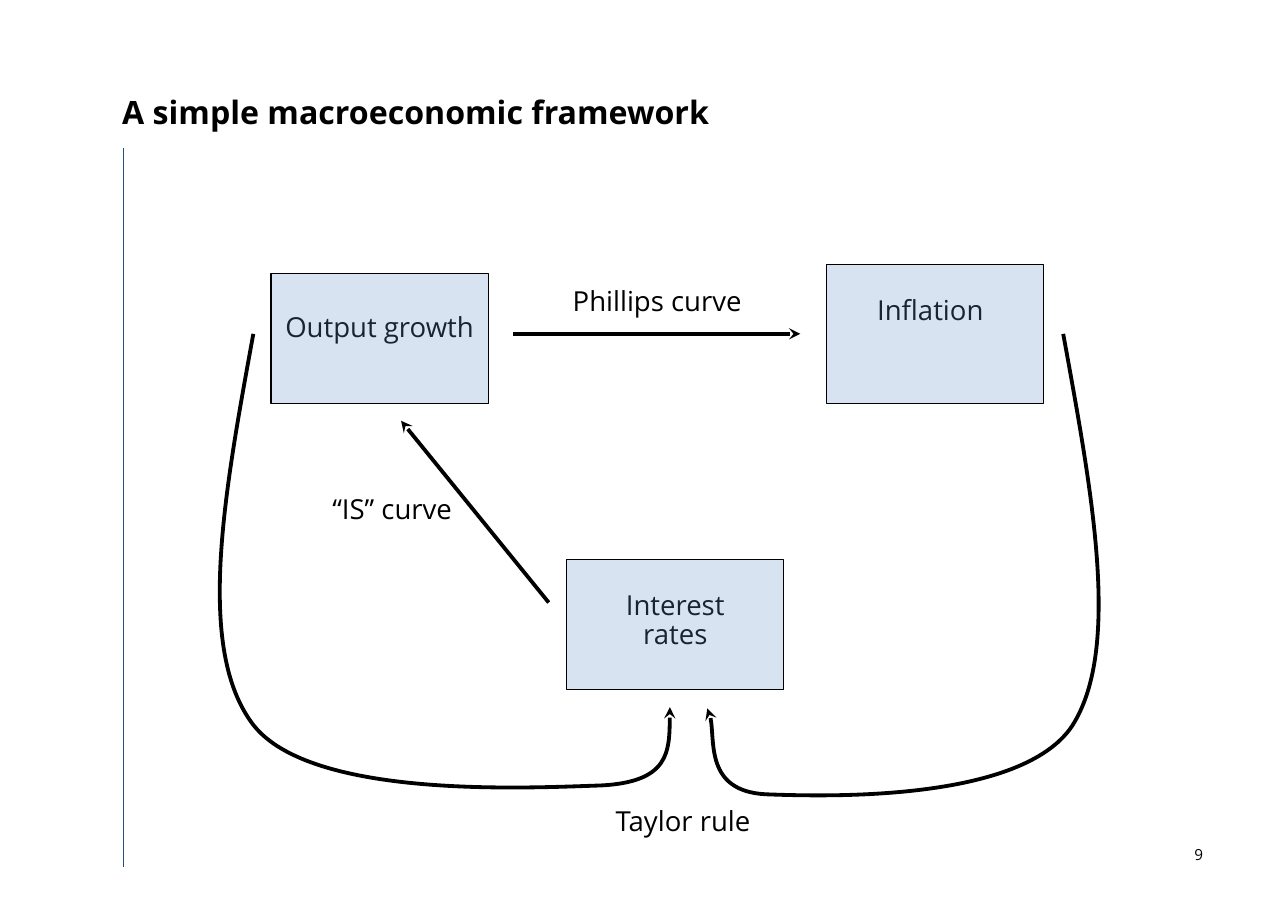
from dataclasses import dataclass
from itertools import islice

from lxml import etree
from pptx import Presentation
from pptx.dml.color import RGBColor
from pptx.enum.shapes import MSO_CONNECTOR, MSO_SHAPE
from pptx.enum.text import MSO_ANCHOR, PP_ALIGN
from pptx.oxml.ns import qn
from pptx.util import Pt


@dataclass(frozen=True)
class Theme:
    """Colours, font, type sizes and line widths of the slide."""
    font: str = "Open Sans"
    ink: RGBColor = RGBColor(0, 0, 0)
    box: RGBColor = RGBColor(0x64, 0x90, 0xCB)
    rule: RGBColor = RGBColor(0x26, 0x4E, 0x84)
    box_opacity: int = 25
    title_size: float = 21
    label_size: float = 18
    number_size: float = 10
    arrow_width: float = 2.5
    border_width: float = 0.75
    rule_width: float = 0.35


THEME = Theme()


def add_text(slide, text, left, top, width, height, size=THEME.label_size, inset=3.6,
             align=PP_ALIGN.CENTER, anchor=MSO_ANCHOR.TOP, spacing=0.9, bold=False):
    """Add a text box with one paragraph per line of text."""
    frame = slide.shapes.add_textbox(Pt(left), Pt(top), Pt(width), Pt(height)).text_frame
    frame.word_wrap = True
    frame.vertical_anchor = anchor
    frame.margin_left = frame.margin_right = Pt(inset)
    frame.margin_top = frame.margin_bottom = Pt(inset)
    frame.text = text
    for paragraph in frame.paragraphs:
        paragraph.alignment = align
        paragraph.line_spacing = spacing
        font = paragraph.runs[0].font
        font.name, font.size, font.bold = THEME.font, Pt(size), bold
        font.color.rgb = THEME.ink


def add_box(slide, left, top, height=85):
    """Add a translucent variable box, which tints the text behind it."""
    box = slide.shapes.add_shape(MSO_SHAPE.RECTANGLE, Pt(left), Pt(top), Pt(142), Pt(height))
    box.shadow.inherit = False
    box.fill.solid()
    box.fill.fore_color.rgb = THEME.box
    colour = box.fill._xPr.find(f".//{qn('a:srgbClr')}")
    etree.SubElement(colour, qn("a:alpha"), val=str(THEME.box_opacity * 1000))
    style_line(box.line, THEME.ink, THEME.border_width)


def style_line(line, colour, width, arrow=False):
    """Set a line's colour and width, with an arrowhead at its end if asked."""
    line.color.rgb = colour
    line.width = Pt(width)
    if arrow:
        etree.SubElement(line._get_or_add_ln(), qn("a:tailEnd"), type="stealth")


def add_line(slide, start, end, colour=THEME.ink, width=THEME.arrow_width, arrow=True):
    """Add a straight line or arrow without shadow."""
    points = [Pt(value) for value in (*start, *end)]
    line = slide.shapes.add_connector(MSO_CONNECTOR.STRAIGHT, *points)
    style_line(line.line, colour, width, arrow)
    etree.SubElement(line._element.spPr, qn("a:effectLst"))


def add_curved_arrow(slide, start, *controls):
    """Add an arrow of cubic curves, each given by three control points."""
    builder = slide.shapes.build_freeform(Pt(start[0]), Pt(start[1]))
    builder.add_line_segments([(Pt(x), Pt(y)) for x, y in controls], close=False)
    curve = builder.convert_to_shape()
    curve.shadow.inherit = False
    curve.fill.background()
    style_line(curve.line, THEME.ink, THEME.arrow_width, arrow=True)
    path = curve._element.find(f".//{qn('a:path')}")
    segments = iter(path.findall(qn("a:lnTo")))
    while triple := list(islice(segments, 3)):
        bezier = etree.SubElement(path, qn("a:cubicBezTo"))
        for segment in triple:
            bezier.append(segment[0])
            path.remove(segment)


def main():
    """Build the macroeconomic framework slide."""
    deck = Presentation()
    deck.slide_width, deck.slide_height = Pt(841.7), Pt(595.4)
    slide = deck.slides.add_slide(deck.slide_layouts[6])

    add_line(slide, (80.6, 96.5), (80.6, 566.6), THEME.rule, THEME.rule_width, arrow=False)
    add_text(slide, "9", 766, 552, 20.2, 12.5, THEME.number_size, 0,
             PP_ALIGN.RIGHT, MSO_ANCHOR.BOTTOM, 1.0)
    add_text(slide, "A simple macroeconomic framework", 79.9, 36, 576, 49.7,
             THEME.title_size, 0, PP_ALIGN.LEFT, MSO_ANCHOR.BOTTOM, Pt(25), True)

    add_text(slide, "Output growth", 171.4, 201.6, 153.4, 28.8)
    add_box(slide, 177.1, 178.6)
    add_text(slide, "Inflation", 540, 190.1, 136, 61.2)
    add_box(slide, 540, 172.8, 90.7)
    add_text(slide, "Interest\nrates", 383, 383, 116.6, 50.4)
    add_box(slide, 370.1, 365.8)

    add_line(slide, (358.6, 393.8), (262.1, 275))
    add_line(slide, (335.5, 218.2), (523, 218.2))
    add_curved_arrow(slide, (165.6, 218.2),
                     (146.9, 321.1), (127.4, 424.1), (165.6, 473.8),
                     (203.8, 522.7), (347, 514.8), (392.4, 513.4),
                     (437.8, 511.2), (437.8, 486.7), (437.8, 462.2))
    add_curved_arrow(slide, (694.8, 218.2),
                     (713.5, 321.1), (733, 424.1), (700.6, 474.5),
                     (667.4, 524.2), (540, 520.6), (500.4, 519.1),
                     (460.8, 517), (468.7, 472.3), (462.2, 463))

    add_text(slide, "Taylor rule", 392.4, 524.2, 108, 28.8)
    add_text(slide, "“IS” curve", 199.4, 320.4, 113.8, 28.8)
    add_text(slide, "Phillips curve", 358.6, 184.3, 141.8, 28.8)

    deck.save("out.pptx")


main()
